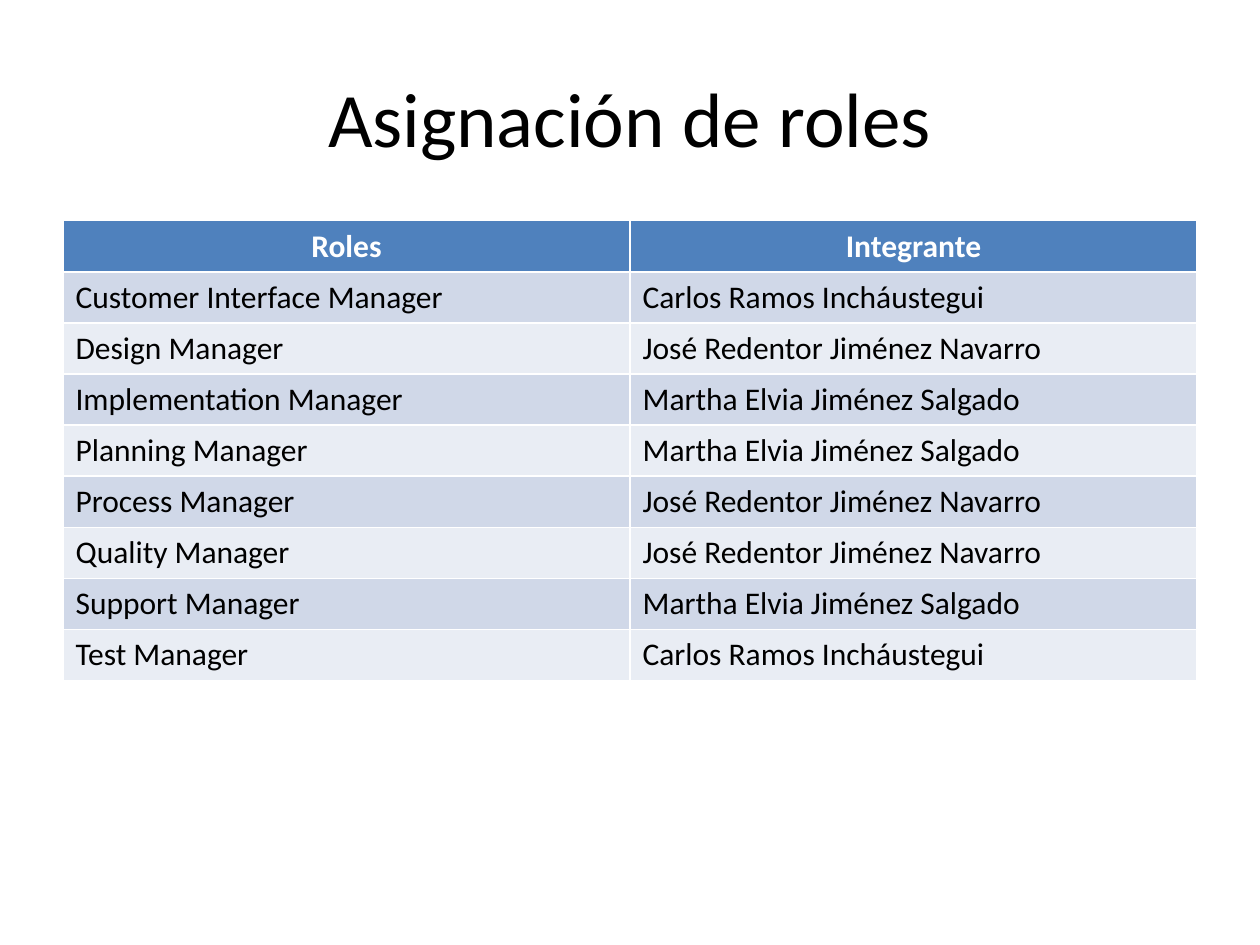
from pptx import Presentation
from pptx.dml.color import RGBColor
from pptx.enum.text import MSO_ANCHOR, PP_ALIGN
from pptx.util import Cm, Pt

CENTER = PP_ALIGN.CENTER
LEFT = PP_ALIGN.LEFT
MIDDLE = MSO_ANCHOR.MIDDLE

BLACK = RGBColor(0x00, 0x00, 0x00)
WHITE = RGBColor(0xFF, 0xFF, 0xFF)
HEADER_BLUE = RGBColor(0x4F, 0x81, 0xBD)
BAND_DARK = RGBColor(0xD0, 0xD8, 0xE8)
BAND_LIGHT = RGBColor(0xE9, 0xED, 0xF4)

CARLOS = "Carlos Ramos Incháustegui"
JOSE = "José Redentor Jiménez Navarro"
MARTHA = "Martha Elvia Jiménez Salgado"

ROWS = [
    ("Roles", "Integrante"),
    ("Customer Interface Manager", CARLOS),
    ("Design Manager", JOSE),
    ("Implementation Manager", MARTHA),
    ("Planning Manager", MARTHA),
    ("Process Manager", JOSE),
    ("Quality Manager", JOSE),
    ("Support Manager", MARTHA),
    ("Test Manager", CARLOS),
]
ROW_HEIGHT = Cm(1.03)


def write_text(text_frame, text, size=18, color=BLACK, bold=False, align=LEFT):
    paragraph = text_frame.paragraphs[0]
    paragraph.alignment = align
    run = paragraph.add_run()
    run.text = text
    run.font.name = "Calibri"
    run.font.size = Pt(size)
    run.font.bold = bold
    run.font.color.rgb = color


presentation = Presentation()
presentation.slide_width = Cm(25.4)
presentation.slide_height = Cm(19.05)
slide = presentation.slides.add_slide(presentation.slide_layouts[5])

title = slide.shapes.title
title.left, title.top = Cm(1.27), Cm(0.76)
title.width, title.height = Cm(22.86), Cm(3.18)
title.text_frame.vertical_anchor = MIDDLE
write_text(title.text_frame, "Asignación de roles", size=44, align=CENTER)

table = slide.shapes.add_table(
    len(ROWS), 2, Cm(1.27), Cm(4.45), Cm(22.86), ROW_HEIGHT * len(ROWS)
).table

for row_index, row in enumerate(ROWS):
    table.rows[row_index].height = ROW_HEIGHT
    is_header = row_index == 0
    band = BAND_DARK if row_index % 2 else BAND_LIGHT
    for column_index, text in enumerate(row):
        cell = table.cell(row_index, column_index)
        cell.fill.solid()
        cell.fill.fore_color.rgb = HEADER_BLUE if is_header else band
        write_text(
            cell.text_frame,
            text,
            color=WHITE if is_header else BLACK,
            bold=is_header,
            align=CENTER if is_header else LEFT,
        )

presentation.save("out.pptx")
